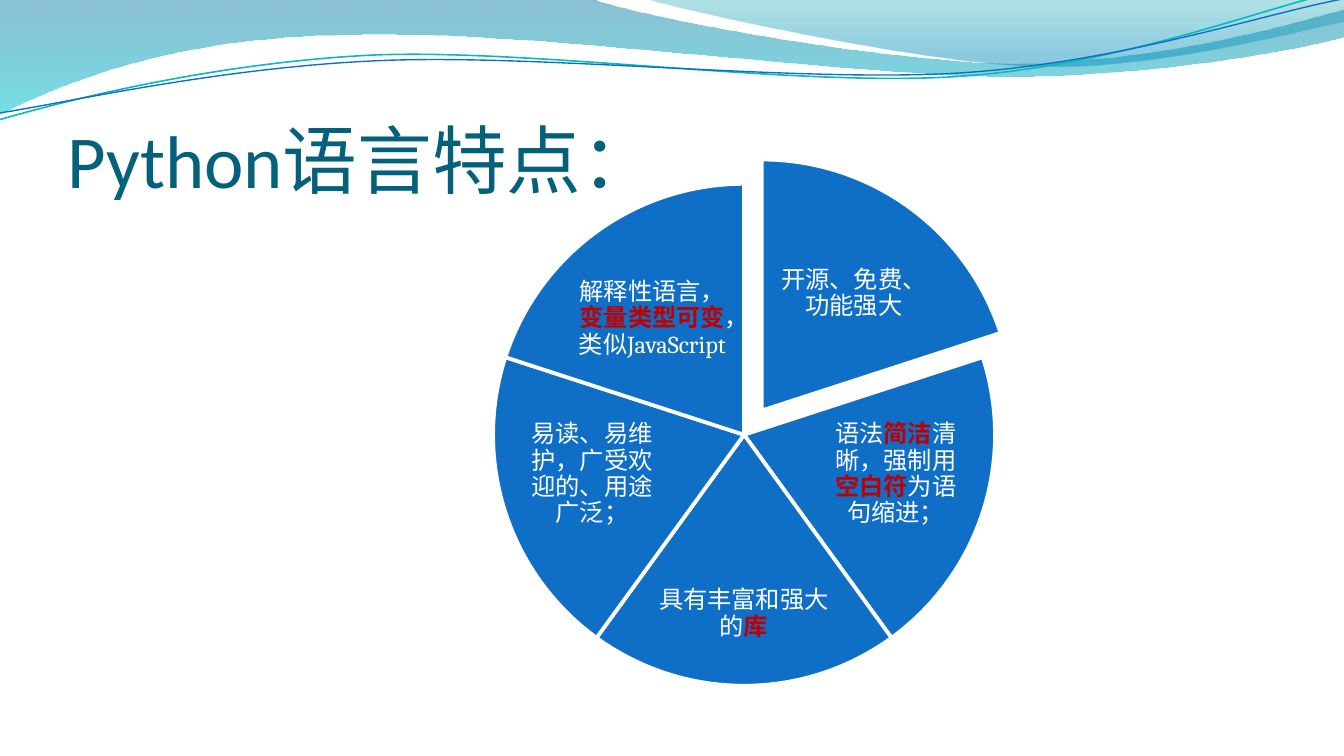
from lxml import etree
from pptx import Presentation
from pptx.dml.color import RGBColor
from pptx.enum import shapes, text
from pptx.oxml.ns import qn
from pptx.util import Pt

WHITE = RGBColor(0xFF, 0xFF, 0xFF)
BLUE = RGBColor(0x0F, 0x6F, 0xC6)
RED = RGBColor(0xC0, 0x00, 0x00)
TITLE_TEAL = RGBColor(0x04, 0x61, 0x7B)
LINE_TEAL = RGBColor(0x0A, 0xB8, 0xBF)
DEEP_BLUE = RGBColor(0x00, 0x74, 0xA1)
AQUA = RGBColor(0x00, 0xC6, 0xCF)
SEA = RGBColor(0x00, 0xA1, 0xA9)
SKY = RGBColor(0x00, 0x8B, 0xBF)

PIE_SIZE = 268.9
PIE_CORNER = (264.2, 98.5)
EXPLODED_CORNER = (273.7, 85.5)
FIRST_ANGLE = 270
WAVE_ROTATION = 357.3

BANDS = [
    ([(0, 0), (316.8, -0.7),
      (342.7, 9.4, 478.1, 33.8, 545.8, 33.8),
      (614.2, 33.8, 689.8, 13.7, 720, 5), (720.7, 19.4),
      (707.8, 23.8, 626.4, 41, 537.1, 41),
      (447.8, 40.3, 275, 15.1, 185, 18.7),
      (92.9, 19.4, 33.1, 44.6, -0.7, 61.2)],
     [(0, DEEP_BLUE, 45), (1, AQUA, 55)]),
    ([(344.9, -0.7),
      (366.5, 5.8, 491, 33.1, 553.7, 35.3),
      (616.3, 37.4, 691.9, 17.3, 720, 11.5), (720, 0)],
     [(0, SEA, 30), (0.8, SKY, 45)]),
]

WAVES = [
    ([(-1.1, 47.1),
      (33.9, 38.7, 114, 22.2, 199.7, 22),
      (285.4, 22.4, 425.4, 49.9, 512, 48.2),
      (599.3, 46.6, 677, 19.3, 719.9, 12)], LINE_TEAL, 0.85),
    ([(-0.9, 43.5),
      (33.1, 40, 118.2, 24.6, 204, 25.1),
      (290.4, 25.5, 429.1, 47.9, 515.7, 46.3),
      (601.6, 44.5, 678.3, 22.2, 721.1, 16.3)], BLUE, 0.75),
]

FEATURES = [
    ("开源、免费、功能强大", (411.8, 126, 91.4, 62.6)),
    ("语法|简洁|清晰，强制用|空白符|为语句缩进；", (439.9, 220.3, 79.9, 67.7)),
    ("具有丰富和强大的|库", (350.6, 300.2, 95.8, 57.6)),
    ("易读、易维护，广受欢迎的、用途广泛；", (277.2, 220.3, 79.9, 67.7)),
    ("解释性语言，|变量类型可变|，类似JavaScript", (303.8, 139.7, 91.4, 62.6)),
]


def add_outline(parent, path, close):
    vertices = [(Pt(x), Pt(y)) for segment in path
                for x, y in zip(segment[0::2], segment[1::2])]
    builder = parent.shapes.build_freeform(*vertices[0])
    builder.add_line_segments(vertices[1:], close=close)
    sp = builder.convert_to_shape()
    sp.shadow.inherit = False
    lines = iter(list(sp._element.iter(qn("a:lnTo"))))
    for segment in path[1:]:
        first = next(lines)
        if len(segment) == 6:
            curve = etree.Element(qn("a:cubicBezTo"))
            first.addprevious(curve)
            for line in (first, next(lines), next(lines)):
                curve.append(line[0])
                line.getparent().remove(line)
    return sp


def add_band(parent, path, stops):
    sp = add_outline(parent, path, True)
    sp.line.fill.background()
    sp.fill.gradient()
    sp.fill.gradient_angle = 270
    for stop, (position, color, opacity) in zip(sp.fill.gradient_stops, stops):
        stop.position = position
        stop.color.rgb = color
    colors = list(sp._element.spPr.iter(qn("a:srgbClr")))
    for element, (position, color, opacity) in zip(colors, stops):
        etree.SubElement(element, qn("a:alpha")).set("val", str(opacity * 1000))


def add_wave(parent, path, color, width):
    sp = add_outline(parent, path, False)
    sp.rotation = WAVE_ROTATION
    sp.fill.background()
    sp.line.color.rgb = color
    sp.line.width = Pt(width)


def set_title(slide, wording):
    sp = slide.shapes.title
    sp._element.getparent().append(sp._element)
    sp.left, sp.top, sp.width, sp.height = Pt(36), Pt(41.5), Pt(648), Pt(67.5)
    tf = sp.text_frame
    tf.text = wording
    tf.auto_size = text.MSO_AUTO_SIZE.NONE
    tf.vertical_anchor = text.MSO_ANCHOR.BOTTOM
    tf.margin_left = tf.margin_right = tf.margin_bottom = 0
    tf.margin_top = Pt(3.6)
    p = tf.paragraphs[0]
    p.alignment = text.PP_ALIGN.LEFT
    font = p.runs[0].font
    font.name, font.size = "Calibri", Pt(40)
    font.color.rgb = TITLE_TEAL


def add_slice(parent, corner, start, end):
    sp = parent.shapes.add_shape(shapes.MSO_SHAPE.PIE, Pt(corner[0]), Pt(corner[1]),
                                 Pt(PIE_SIZE), Pt(PIE_SIZE))
    sp.shadow.inherit = False
    sp.adjustments[0] = start * 0.6
    sp.adjustments[1] = end * 0.6
    sp.fill.solid()
    sp.fill.fore_color.rgb = BLUE
    sp.line.color.rgb = WHITE
    sp.line.width = Pt(2)


def add_label(parent, wording, box):
    tf = parent.shapes.add_textbox(*map(Pt, box)).text_frame
    tf.word_wrap = True
    tf.vertical_anchor = text.MSO_ANCHOR.MIDDLE
    tf.margin_left = tf.margin_right = tf.margin_top = tf.margin_bottom = Pt(1.3)
    p = tf.paragraphs[0]
    p.alignment = text.PP_ALIGN.CENTER
    p.line_spacing = 0.9
    p.space_after = Pt(4.8)
    for i, part in enumerate(wording.split("|")):
        r = p.add_run()
        r.text = part
        is_key = i % 2 == 1
        r.font.name, r.font.size, r.font.bold = "Cambria", Pt(13), is_key
        r.font.color.rgb = RED if is_key else WHITE


def main():
    prs = Presentation()
    prs.slide_width, prs.slide_height = Pt(720), Pt(405)
    slide = prs.slides.add_slide(prs.slide_layouts[5])
    for path, stops in BANDS:
        add_band(slide, path, stops)
    waves = slide.shapes.add_group_shape()
    for path, color, width in WAVES:
        add_wave(waves, path, color, width)
    set_title(slide, "Python语言特点：")
    pie = slide.shapes.add_group_shape()
    sweep = 360 / len(FEATURES)
    for i, (wording, box) in enumerate(FEATURES):
        start = (FIRST_ANGLE + i * sweep) % 360
        corner = PIE_CORNER if i else EXPLODED_CORNER
        add_slice(pie, corner, start, (start + sweep) % 360)
        add_label(pie, wording, box)
    prs.save("out.pptx")


if __name__ == "__main__":
    main()
